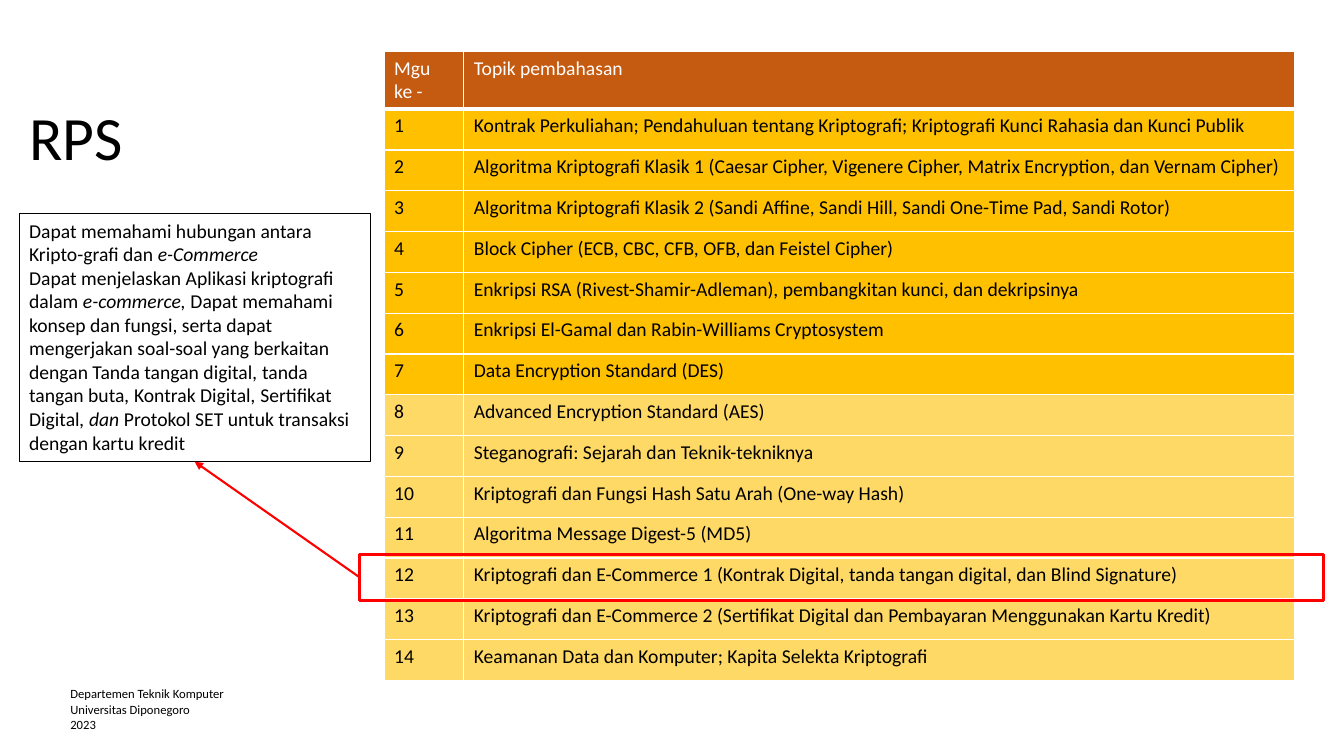
from pptx import Presentation
from pptx.dml.color import RGBColor as Rgb
from pptx.enum.shapes import MSO_CONNECTOR as Link, MSO_SHAPE as Form
from pptx.enum.text import MSO_ANCHOR as Anchor, MSO_AUTO_SIZE as Auto, PP_ALIGN as Align
from pptx.oxml.ns import qn
from pptx.util import Inches, Pt
from lxml.etree import SubElement as Sub

WIDE, HIGH = Inches(13.33), Inches(7.5)
FONT = "Calibri"
HUES = {
    "ink": "000000", "paper": "FFFFFF", "head": "C55A11",
    "early": "FFC000", "late": "FFD966", "mark": "FF0000",
}
HALF = 7  # weeks before the middle of the term
TOPICS = [
    "Kontrak Perkuliahan; Pendahuluan tentang Kriptografi; Kriptografi Kunci Rahasia dan Kunci Publik",
    "Algoritma Kriptografi Klasik 1 (Caesar Cipher, Vigenere Cipher, Matrix Encryption, dan Vernam Cipher)",
    "Algoritma Kriptografi Klasik 2 (Sandi Affine, Sandi Hill, Sandi One-Time Pad, Sandi Rotor)",
    "Block Cipher (ECB, CBC, CFB, OFB, dan Feistel Cipher)",
    "Enkripsi RSA (Rivest-Shamir-Adleman), pembangkitan kunci, dan dekripsinya",
    "Enkripsi El-Gamal dan Rabin-Williams Cryptosystem",
    "Data Encryption Standard (DES)",
    "Advanced Encryption Standard (AES)",
    "Steganografi: Sejarah dan Teknik-tekniknya",
    "Kriptografi dan Fungsi Hash Satu Arah (One-way Hash)",
    "Algoritma Message Digest-5 (MD5)",
    "Kriptografi dan E-Commerce 1 (Kontrak Digital, tanda tangan digital, dan Blind Signature)",
    "Kriptografi dan E-Commerce 2 (Sertifikat Digital dan Pembayaran Menggunakan Kartu Kredit)",
    "Keamanan Data dan Komputer; Kapita Selekta Kriptografi",
]
GOALS = [
    ("Dapat memahami hubungan antara Kripto-grafi dan ", "e-Commerce"),
    ("Dapat menjelaskan Aplikasi kriptografi dalam ", "e-commerce, ",
     "Dapat memahami konsep dan fungsi, serta dapat mengerjakan soal-soal "
     "yang berkaitan dengan Tanda tangan digital", ", ",
     "tanda tangan buta", ", ", "Kontrak Digital", ", ", "Sertifikat Digital",
     ", dan ", "Protokol SET untuk transaksi dengan kartu kredit"),
]


def tint(name):
    return Rgb.from_string(HUES[name])


def area(left, top, width, height):
    """Turn percentages of the slide into lengths."""
    return [int(part * side / 100) for part, side in
            zip((left, top, width, height), (WIDE, HIGH, WIDE, HIGH))]


def write(frame, paras, size=14, hue="ink", space=None, anchor=Anchor.TOP):
    """Fill a frame; each paragraph's pieces alternate plain and italic."""
    frame.word_wrap = True
    frame.vertical_anchor = anchor
    for num, parts in enumerate(paras):
        para = frame.add_paragraph() if num else frame.paragraphs[0]
        para.alignment = Align.LEFT
        para.line_spacing = space
        for turn, part in enumerate(parts):
            run = para.add_run()
            run.text = part
            font = run.font
            font.name, font.size = FONT, Pt(size)
            font.bold, font.italic = False, turn % 2 == 1
            font.color.rgb = tint(hue)


def add_title(slide, text, place):
    title = slide.shapes.title
    title.left, title.top, title.width, title.height = place
    write(title.text_frame, [(text,)], size=44, space=0.9, anchor=Anchor.MIDDLE)
    title.text_frame.auto_size = Auto.NONE


def add_note(slide, lines, place):
    box = slide.shapes.add_textbox(*place)
    write(box.text_frame, [(line,) for line in lines], size=9)


def add_frame(slide, place, hue, width):
    box = slide.shapes.add_shape(Form.RECTANGLE, *place)
    box.shadow.inherit = False
    box.fill.background()
    box.line.color.rgb = tint(hue)
    box.line.width = Pt(width)
    return box


def add_arrow(slide, start, end):
    """Run from the left side of start to the bottom of end."""
    arrow = slide.shapes.add_connector(Link.STRAIGHT, 0, 0, 0, 0)
    arrow.begin_connect(start, 1)
    arrow.end_connect(end, 2)
    arrow.line.color.rgb = tint("mark")
    arrow.line.width = Pt(1.5)
    Sub(arrow.line._get_or_add_ln(), qn("a:tailEnd"), type="triangle")
    Sub(arrow._element.spPr, qn("a:effectLst"))


def rule_cell(cell, base):
    """Draw white borders, with the bottom one as wide as base points."""
    props = cell._tc.get_or_add_tcPr()
    for side, width in zip("LRTB", (1, 1, 1, base)):
        line = Sub(props, qn("a:ln" + side), w=str(Pt(width)))
        fill = Sub(line, qn("a:solidFill"))
        Sub(fill, qn("a:srgbClr"), val=HUES["paper"])


def fill_cell(cell, lines, back, hue="ink", base=1):
    rule_cell(cell, base)
    cell.fill.solid()
    cell.fill.fore_color.rgb = tint(back)
    write(cell.text_frame, [(line,) for line in lines], hue=hue)


def add_plan(slide, place):
    count = len(TOPICS)
    grid = slide.shapes.add_table(count + 1, 2, *place).table
    slim, head = Inches(0.79), Inches(0.57)
    grid.columns[0].width, grid.columns[1].width = slim, place[2] - slim
    grid.rows[0].height = head
    for col, lines in enumerate((("Mgu", "ke -"), ("Topik pembahasan",))):
        fill_cell(grid.cell(0, col), lines, "head", hue="paper", base=3)
    for week, topic in enumerate(TOPICS, 1):
        grid.rows[week].height = (place[3] - head) // count
        back = "early" if week <= HALF else "late"
        for col, text in enumerate((str(week), topic)):
            fill_cell(grid.cell(week, col), [text], back)


def main():
    deck = Presentation()
    deck.slide_width, deck.slide_height = WIDE, HIGH
    slide = deck.slides.add_slide(deck.slide_layouts[5])
    add_title(slide, "RPS", area(1.43, 8.93, 8.85, 19.33))
    add_plan(slide, area(28.58, 6.8, 67.74, 83.2))
    add_note(slide, ["Departemen Teknik Komputer", "Universitas Diponegoro", "2023"],
             area(4.5, 90.13, 14.03, 7.47))
    mark = add_frame(slide, area(26.78, 73.33, 71.72, 6.13), "mark", 2.25)
    goals = add_frame(slide, area(1.43, 28.27, 26.11, 32.8), "ink", 0.75)
    write(goals.text_frame, GOALS)
    add_arrow(slide, mark, goals)
    deck.save("out.pptx")


if __name__ == "__main__":
    main()
